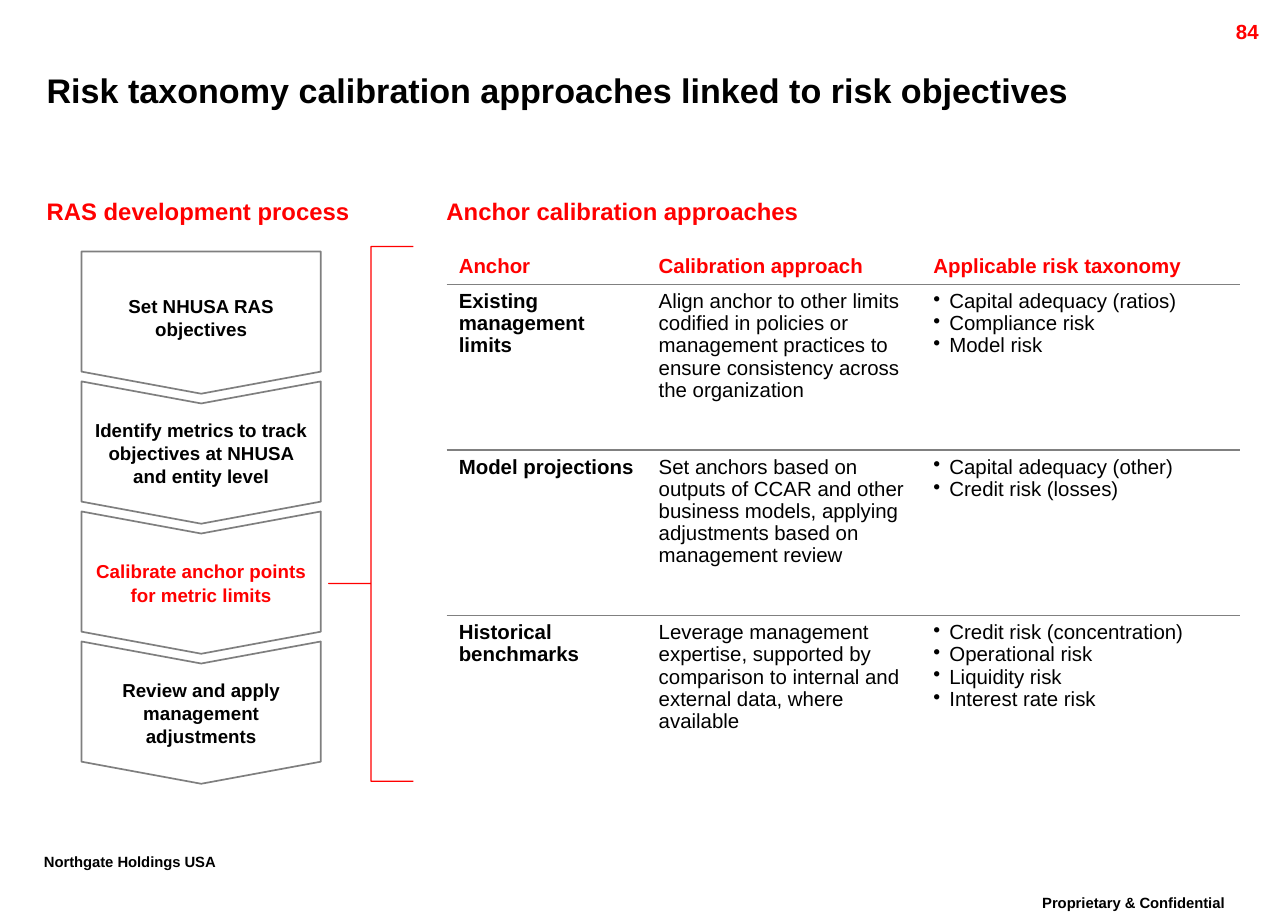
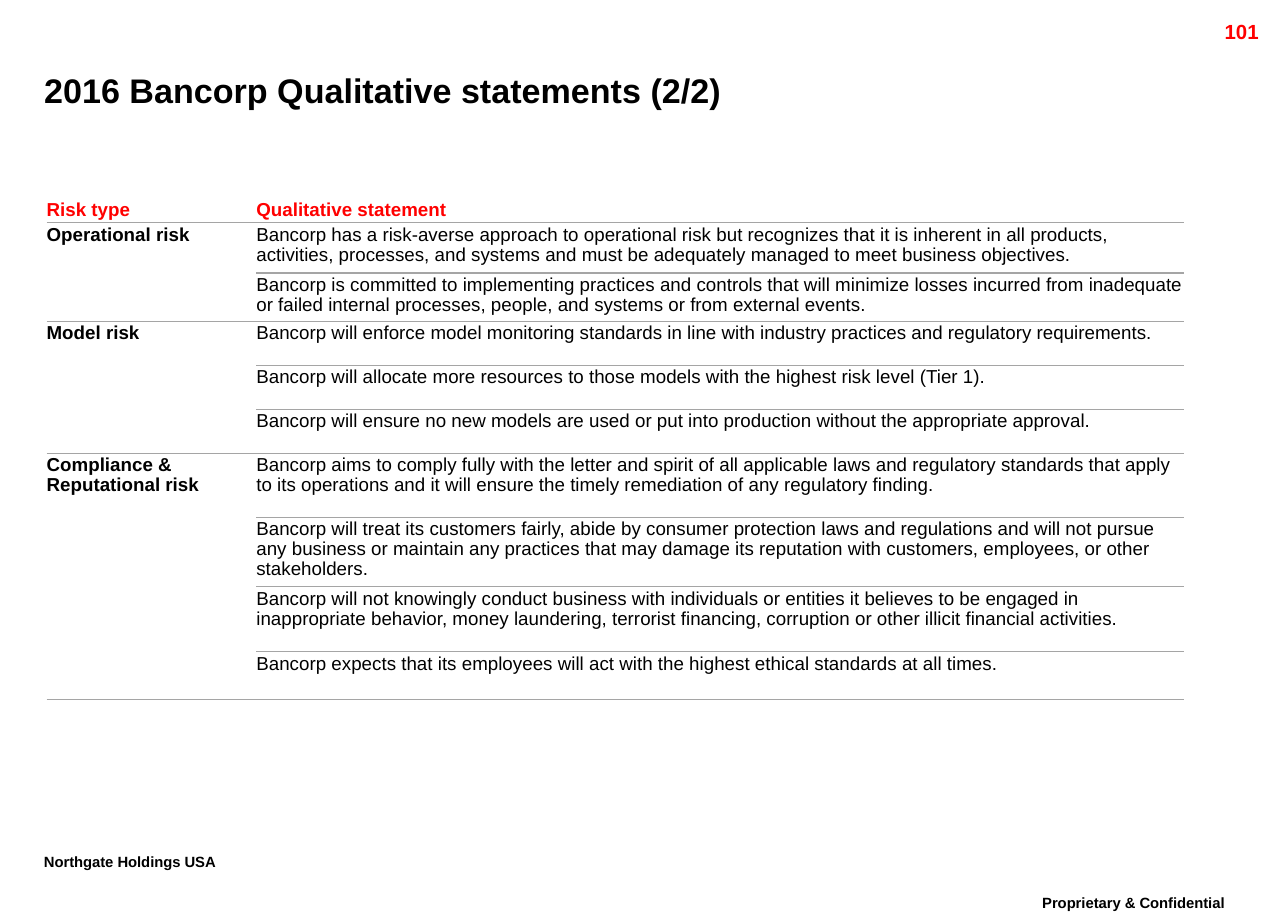
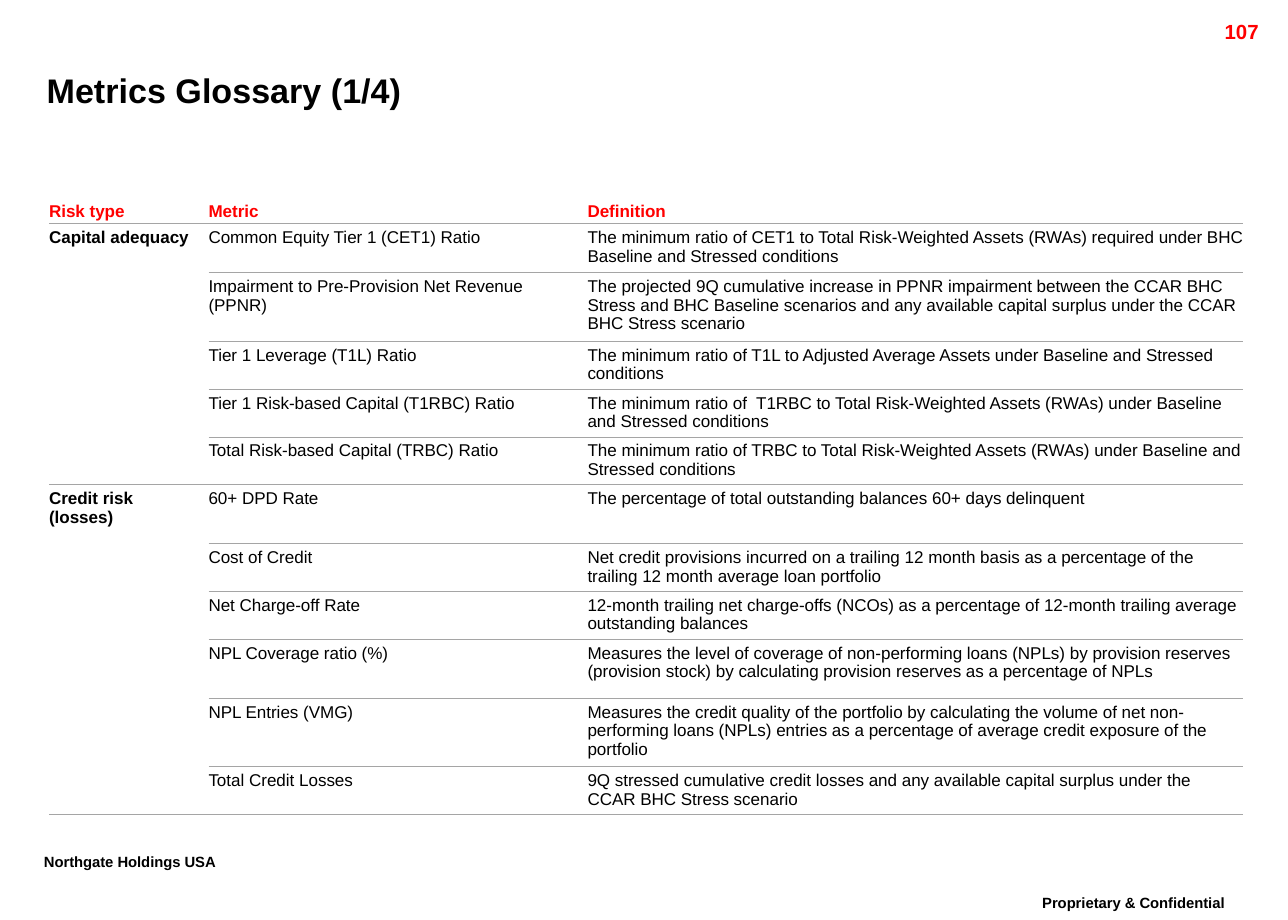
from lxml import etree
from pptx import Presentation
from pptx.dml.color import RGBColor
from pptx.enum.shapes import MSO_SHAPE
from pptx.enum.text import MSO_ANCHOR, PP_ALIGN
from pptx.oxml.ns import qn
from pptx.util import Inches, Pt

RED = RGBColor(0xFF, 0x00, 0x00)
BLACK = RGBColor(0x00, 0x00, 0x00)
WHITE = RGBColor(0xFF, 0xFF, 0xFF)
STEP_GRAY = RGBColor(0x7F, 0x7F, 0x7F)
RULE_DARK = RGBColor(0x80, 0x80, 0x80)
RULE_LIGHT = RGBColor(0xA5, 0xA5, 0xA5)

LEFT, CENTER, RIGHT = PP_ALIGN.LEFT, PP_ALIGN.CENTER, PP_ALIGN.RIGHT
TOP, MIDDLE, BOTTOM = MSO_ANCHOR.TOP, MSO_ANCHOR.MIDDLE, MSO_ANCHOR.BOTTOM
PENTAGON, CHEVRON = MSO_SHAPE.PENTAGON, MSO_SHAPE.CHEVRON
LEFT_BRACE = MSO_SHAPE.LEFT_BRACE

FONT = "Arial"
NO_TABLE_STYLE = "{2D5ABB26-0587-4C30-8999-92F81FD0307C}"
SLIDE_W, SLIDE_H = 10.5, 7.5
MARGIN = 0.38
COLUMN_2 = 3.64
BODY_TOP = 1.6
PANEL_TOP = 2.01
PANEL_H = 4.36
DEFAULT_INSETS = (0.1, 0.05, 0.1, 0.05)
NO_INSETS = (0, 0, 0, 0)
BULLET_INDENT = Inches(0.13)
STEP_W, STEP_H, STEP_PITCH = 1.95, 1.16, 1.06

STEPS = [
    ("Set NHUSA RAS objectives", BLACK),
    ("Identify metrics to track objectives at NHUSA and entity level", BLACK),
    ("Calibrate anchor points for metric limits", RED),
    ("Review and apply management adjustments", BLACK),
]

ANCHORS = [
    ("Existing management limits", [
        ("Align anchor to other limits codified in policies or management practices "
         "to ensure consistency across the organization",
         ["Capital adequacy (ratios)", "Compliance risk", "Model risk"])]),
    ("Model projections", [
        ("Set anchors based on outputs of CCAR and other business models, applying "
         "adjustments based on management review",
         ["Capital adequacy (other)", "Credit risk (losses)"])]),
    ("Historical benchmarks", [
        ("Leverage management expertise, supported by comparison to internal and "
         "external data, where available",
         ["Credit risk (concentration)", "Operational risk", "Liquidity risk",
          "Interest rate risk"])]),
]

STATEMENTS = [
    ("Operational risk", [
        ("Bancorp has a risk-averse approach to operational risk but recognizes that it "
         "is inherent in all products, activities, processes, and systems and must be "
         "adequately managed to meet business objectives.",),
        ("Bancorp is committed to implementing practices and controls that will minimize "
         "losses incurred from inadequate or failed internal processes, people, and "
         "systems or from external events.",)]),
    ("Model risk", [
        ("Bancorp will enforce model monitoring standards in line with industry practices "
         "and regulatory requirements.",),
        ("Bancorp will allocate more resources to those models with the highest risk "
         "level (Tier 1).",),
        ("Bancorp will ensure no new models are used or put into production without the "
         "appropriate approval.",)]),
    ("Compliance & Reputational risk", [
        ("Bancorp aims to comply fully with the letter and spirit of all applicable laws "
         "and regulatory standards that apply to its operations and it will ensure the "
         "timely remediation of any regulatory finding.",),
        ("Bancorp will treat its customers fairly, abide by consumer protection laws and "
         "regulations and will not pursue any business or maintain any practices that may "
         "damage its reputation with customers, employees, or other stakeholders.",),
        ("Bancorp will not knowingly conduct business with individuals or entities it "
         "believes to be engaged in inappropriate behavior, money laundering, terrorist "
         "financing, corruption or other illicit financial activities.",),
        ("Bancorp expects that its employees will act with the highest ethical standards "
         "at all times.",)]),
]

METRICS = [
    ("Capital adequacy", [
        ("Common Equity Tier 1 (CET1) Ratio",
         "The minimum ratio of CET1 to Total Risk-Weighted Assets (RWAs) required under "
         "BHC Baseline and Stressed conditions"),
        ("Impairment to Pre-Provision Net Revenue\n(PPNR)",
         "The projected 9Q cumulative increase in PPNR impairment between the CCAR BHC "
         "Stress and BHC Baseline scenarios and any available capital surplus under the "
         "CCAR BHC Stress scenario"),
        ("Tier 1 Leverage (T1L) Ratio",
         "The minimum ratio of T1L to Adjusted Average Assets under Baseline and Stressed "
         "conditions"),
        ("Tier 1 Risk-based Capital (T1RBC) Ratio",
         "The minimum ratio of  T1RBC to Total Risk-Weighted Assets (RWAs) under Baseline "
         "and Stressed conditions"),
        ("Total Risk-based Capital (TRBC) Ratio",
         "The minimum ratio of TRBC to Total Risk-Weighted Assets (RWAs) under Baseline "
         "and Stressed conditions")]),
    ("Credit risk\n(losses)", [
        ("60+ DPD Rate",
         "The percentage of total outstanding balances 60+ days delinquent"),
        ("Cost of Credit",
         "Net credit provisions incurred on a trailing 12 month basis as a percentage of "
         "the trailing 12 month average loan portfolio"),
        ("Net Charge-off Rate",
         "12-month trailing net charge-offs (NCOs) as a percentage of 12-month trailing "
         "average outstanding balances"),
        ("NPL Coverage ratio (%)",
         "Measures the level of coverage of non-performing loans (NPLs) by provision "
         "reserves (provision stock) by calculating provision reserves as a percentage "
         "of NPLs"),
        ("NPL Entries (VMG)",
         "Measures the credit quality of the portfolio by calculating the volume of net "
         "non-performing loans (NPLs) entries as a percentage of average credit exposure "
         "of the portfolio"),
        ("Total Credit Losses",
         "9Q stressed cumulative credit losses and any available capital surplus under "
         "the CCAR BHC Stress scenario")]),
]


def set_insets(target, insets):
    """Set the four margins of a text frame or a table cell, in inches."""
    sides = ("margin_left", "margin_top", "margin_right", "margin_bottom")
    for side, inset in zip(sides, insets):
        setattr(target, side, Inches(inset))


def write(p, text, size, color=BLACK, bold=True, align=LEFT, spacing=None, raised=False):
    """Write text into a paragraph, one run for each line."""
    p.alignment = align
    if spacing:
        p.line_spacing = spacing
    for i, line in enumerate(text.split("\n")):
        if i:
            p.add_line_break()
        r = p.add_run()
        r.text = line
        r.font.name, r.font.size, r.font.bold = FONT, Pt(size), bold
        r.font.color.rgb = color
        if raised:
            r.font._element.set("baseline", "30000")


def add_bullet(p):
    """Give a paragraph a hanging round bullet."""
    pPr = p._p.get_or_add_pPr()
    pPr.set("marL", str(BULLET_INDENT))
    pPr.set("indent", str(-BULLET_INDENT))
    etree.SubElement(pPr, qn("a:buChar")).set("char", "•")


def add_text(s, box, text, size, insets=NO_INSETS, anchor=TOP, **style):
    """Add a wrapped one-paragraph text box."""
    tf = s.shapes.add_textbox(*map(Inches, box)).text_frame
    tf.word_wrap = True
    tf.vertical_anchor = anchor
    set_insets(tf, insets)
    write(tf.paragraphs[0], text, size, **style)


def add_base_slide(prs, title, number, title_left=MARGIN):
    """Add a slide with its title, page number and footers."""
    s = prs.slides.add_slide(prs.slide_layouts[6])
    add_text(s, (title_left, 0.49, 9.48, 0.48), title, 20, anchor=MIDDLE)
    add_text(s, (9.36, 0.11, 1, 0.24), str(number), 12, DEFAULT_INSETS,
             color=RED, align=RIGHT)
    footer = dict(insets=DEFAULT_INSETS, spacing=0.86, raised=True)
    add_text(s, (0.26, 6.91, 1.91, 0.32), "Northgate Holdings USA", 15, **footer)
    add_text(s, (8.15, 7.25, 2.18, 0.32), "Proprietary & Confidential", 15,
             align=CENTER, **footer)
    return s


def add_rule(cell, color, width):
    """Draw the bottom border of a cell."""
    ln = etree.SubElement(cell._tc.get_or_add_tcPr(), qn("a:lnB"))
    ln.set("w", str(Pt(width)))
    fill = etree.SubElement(ln, qn("a:solidFill"))
    etree.SubElement(fill, qn("a:srgbClr")).set("val", str(color))


def fill_cell(cell, content, insets, anchor=TOP, **style):
    """Write a string, or a list as bullets, into a cell."""
    cell.fill.background()
    cell.vertical_anchor = anchor
    set_insets(cell, insets)
    tf = cell.text_frame
    bulleted = isinstance(content, list)
    for i, item in enumerate(content if bulleted else [content]):
        p = tf.add_paragraph() if i else tf.paragraphs[0]
        write(p, item, **style)
        if bulleted:
            add_bullet(p)


def add_grouped_table(s, left, top, widths, heights, headers, groups, size, spacing,
                      insets=DEFAULT_INSETS, rule=(RULE_LIGHT, 0.75), closed=True):
    """Add a ruled table whose first column spans the rows of each group."""
    table = s.shapes.add_table(len(heights), len(widths), Inches(left), Inches(top),
                               Inches(sum(widths)), Inches(sum(heights))).table
    table._tbl.tblPr.find(qn("a:tableStyleId")).text = NO_TABLE_STYLE
    table.first_row = table.horz_banding = False
    for column, width in zip(table.columns, widths):
        column.width = Inches(width)
    for row, height in zip(table.rows, heights):
        row.height = Inches(height)
    style = dict(insets=insets, size=size, spacing=spacing)

    for c, header in enumerate(headers):
        add_rule(table.cell(0, c), *rule)
        fill_cell(table.cell(0, c), header, anchor=BOTTOM, color=RED, **style)
    first = 1
    for label, rows in groups:
        last = first + len(rows) - 1
        ruled = closed or last < len(heights) - 1
        if ruled:
            for r in {first, last}:
                add_rule(table.cell(r, 0), *rule)
        fill_cell(table.cell(first, 0), label, **style)
        if last > first:
            table.cell(first, 0).merge(table.cell(last, 0))
        for r, contents in enumerate(rows, first):
            for c, content in enumerate(contents, 1):
                if ruled or r < last:
                    add_rule(table.cell(r, c), *rule)
                fill_cell(table.cell(r, c), content, bold=False, **style)
        first = last + 1


def add_step(s, index, text, color):
    """Add one downward step of the process."""
    center_x, center_y = 1.64, 2.05 + STEP_H / 2 + index * STEP_PITCH
    sp = s.shapes.add_shape(CHEVRON if index else PENTAGON,
                            Inches(center_x - STEP_H / 2), Inches(center_y - STEP_W / 2),
                            Inches(STEP_H), Inches(STEP_W))
    sp.rotation = 90
    sp.adjustments[0] = 0.155
    sp.shadow.inherit = False
    sp.fill.solid()
    sp.fill.fore_color.rgb = WHITE
    sp.line.color.rgb = STEP_GRAY
    sp.line.width = Pt(1)
    tf = sp.text_frame
    tf.word_wrap = True
    tf.vertical_anchor = MIDDLE
    set_insets(tf, (0.08,) * 4)
    tf._txBody.bodyPr.set("vert", "vert270")
    write(tf.paragraphs[0], text, 11, color, align=CENTER, spacing=1.04)


def add_bracket(s):
    """Add the bracket that opens from the current step to the table."""
    sp = s.shapes.add_shape(LEFT_BRACE, Inches(2.68), Inches(PANEL_TOP),
                            Inches(0.69), Inches(PANEL_H))
    sp.adjustments[0], sp.adjustments[1] = 0, 0.63
    sp.shadow.inherit = False
    sp.fill.background()
    sp.line.color.rgb = RED
    sp.line.width = Pt(0.75)


def build_calibration(prs):
    """Build the slide on calibration approaches."""
    s = add_base_slide(
        prs, "Risk taxonomy calibration approaches linked to risk objectives", 84)
    add_text(s, (MARGIN, BODY_TOP, 2.98, 0.45), "RAS development process", 14, color=RED)
    add_text(s, (COLUMN_2, BODY_TOP, 6, 0.45), "Anchor calibration approaches", 14,
             color=RED)
    add_grouped_table(s, COLUMN_2, PANEL_TOP, [1.63, 2.24, 2.6], [0.31] + [1.35] * 3,
                      ["Anchor", "Calibration approach", "Applicable risk taxonomy"],
                      ANCHORS, 12, 0.97, rule=(RULE_DARK, 1), closed=False)
    for i, (text, color) in enumerate(STEPS):
        add_step(s, i, text, color)
    add_bracket(s)


def build_statements(prs):
    """Build the slide of qualitative statements."""
    s = add_base_slide(prs, "2016 Bancorp Qualitative statements (2/2)", 101, 0.36)
    add_grouped_table(s, MARGIN, BODY_TOP, [1.71, 7.56],
                      [0.21, 0.41, 0.38, 0.36, 0.36, 0.36, 0.52, 0.55, 0.53, 0.39],
                      ["Risk type", "Qualitative statement"], STATEMENTS, 11, 0.96,
                      insets=(0, 0.02, 0, 0.02))


def build_glossary(prs):
    """Build the slide of metric definitions."""
    s = add_base_slide(prs, "Metrics Glossary (1/4)", 107)
    add_grouped_table(s, 0.4, BODY_TOP, [1.3, 3.09, 5.34],
                      [0.22, 0.4, 0.56, 0.39, 0.39, 0.39, 0.48, 0.39, 0.39, 0.48, 0.56,
                       0.39],
                      ["Risk type", "Metric", "Definition"], METRICS, 10, 0.98,
                      insets=(0, 0.04, 0, 0.02))


def main():
    """Build and save the presentation."""
    prs = Presentation()
    prs.slide_width, prs.slide_height = Inches(SLIDE_W), Inches(SLIDE_H)
    build_calibration(prs)
    build_statements(prs)
    build_glossary(prs)
    prs.save("out.pptx")


if __name__ == "__main__":
    main()
